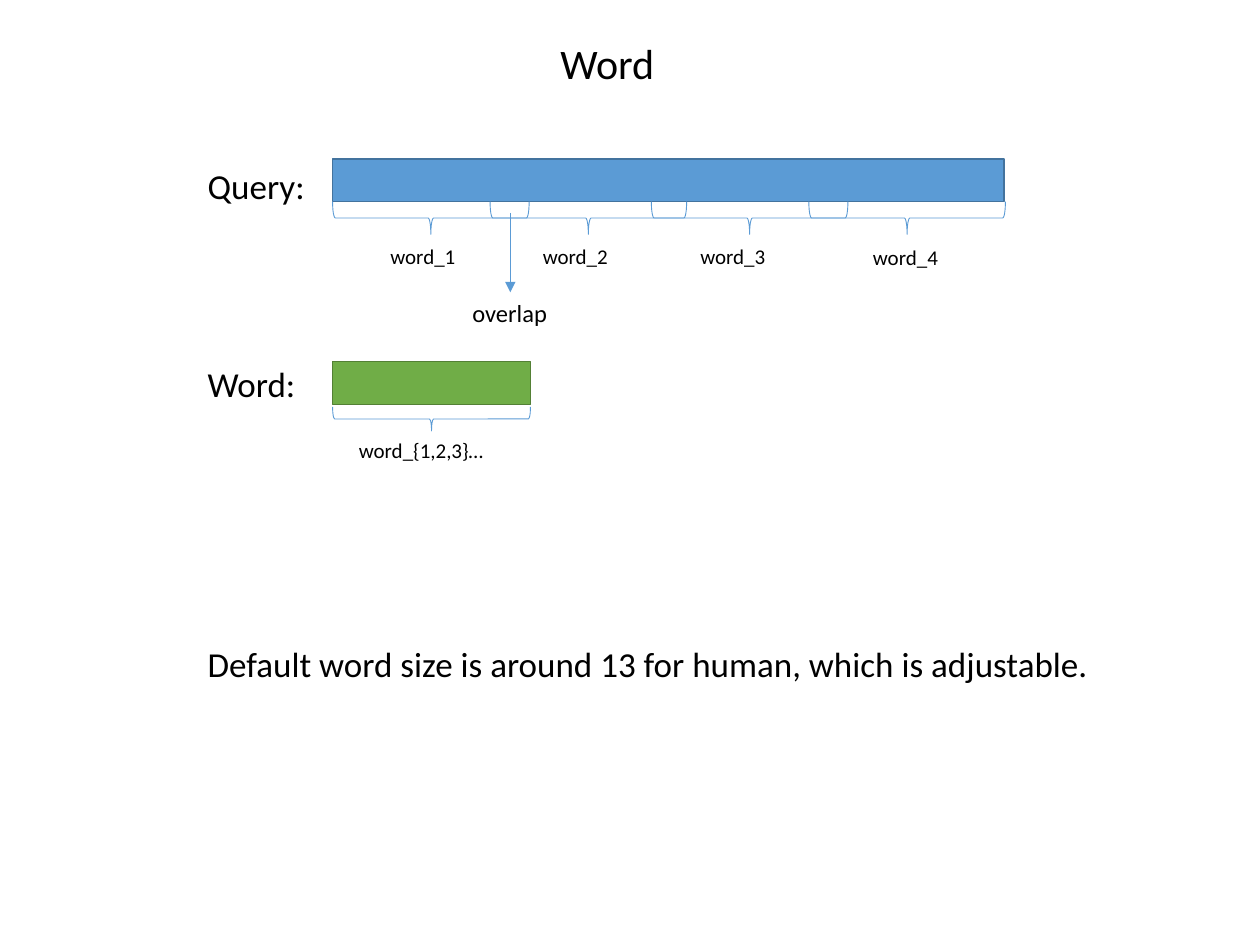
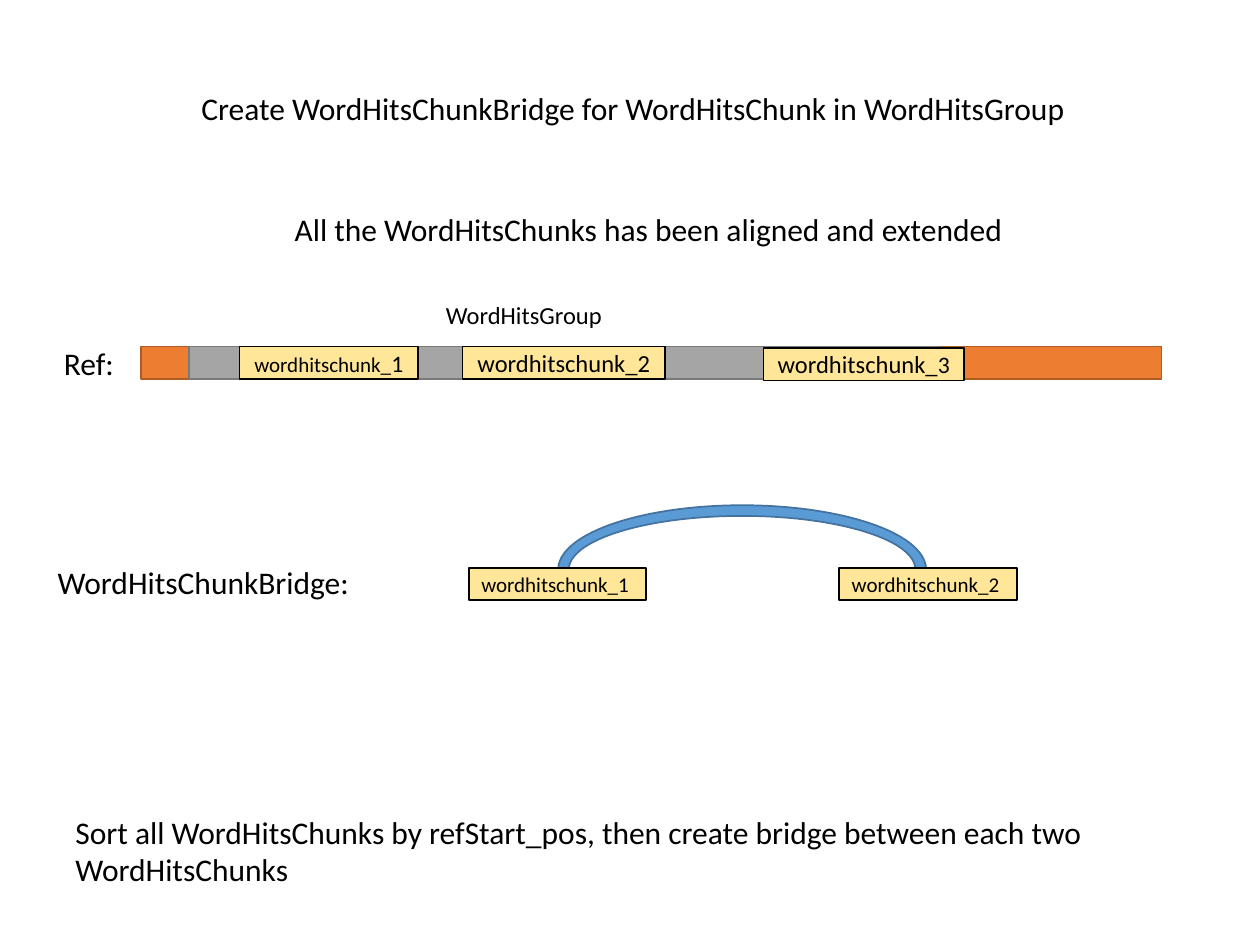
"""Build two slides on word splitting and chunk bridging."""
import pptx
import pptx.dml.color
import pptx.enum.shapes
import pptx.enum.text
import pptx.oxml
import pptx.oxml.ns
import pptx.util

Inches = pptx.util.Inches
Pt = pptx.util.Pt
SHAPE = pptx.enum.shapes.MSO_SHAPE

FONT = "Calibri"
COLORS = {
    "text": "000000",
    "blue": "5B9BD5", "blue_edge": "43739E",
    "green": "70AD47", "green_edge": "538035",
    "orange": "ED7D31", "orange_edge": "AF5C24",
    "gray": "A5A5A5", "gray_edge": "7A7A7A",
    "chunk": "FFE699", "chunk_edge": "000000",
}


def rgb(name):
    """Return the named colour."""
    return pptx.dml.color.RGBColor.from_string(COLORS[name])


def set_line(sp, color, width):
    """Set the outline colour and width."""
    sp.line.color.rgb = rgb(color)
    sp.line.width = Pt(width)


def style_run(r, size):
    """Apply the shared font to a run."""
    r.font.name = FONT
    r.font.size = Pt(size)
    r.font.color.rgb = rgb("text")


def add_label(s, text, left, top, width, height, size, wrap=False):
    """Add a text box that grows with its text."""
    box = s.shapes.add_textbox(Inches(left), Inches(top), Inches(width), Inches(height))
    tf = box.text_frame
    tf.text = text
    tf.word_wrap = wrap
    tf.auto_size = pptx.enum.text.MSO_AUTO_SIZE.SHAPE_TO_FIT_TEXT
    style_run(tf.paragraphs[0].runs[0], size)


def add_figure(s, kind, left, top, width, height, color):
    """Add a filled shape with the edge that belongs to its colour."""
    sp = s.shapes.add_shape(kind, Inches(left), Inches(top), Inches(width), Inches(height))
    sp.shadow.inherit = False
    sp.fill.solid()
    sp.fill.fore_color.rgb = rgb(color)
    set_line(sp, color + "_edge", 1)
    return sp


def add_bar(s, left, top, width, height, color):
    """Add a sequence bar."""
    return add_figure(s, SHAPE.RECTANGLE, left, top, width, height, color)


def add_chunk(s, parts, left, top, width, height):
    """Add a chunk box from (text, size) parts."""
    tf = add_bar(s, left, top, width, height, "chunk").text_frame
    tf.vertical_anchor = pptx.enum.text.MSO_ANCHOR.MIDDLE
    p = tf.paragraphs[0]
    p.alignment = pptx.enum.text.PP_ALIGN.CENTER
    for text, size in parts:
        r = p.add_run()
        r.text = text
        style_run(r, size)


def add_brace(s, left, top, span, depth):
    """Add a brace opening upwards over the given visible area."""
    sp = s.shapes.add_shape(
        SHAPE.LEFT_BRACE,
        Inches(left + (span - depth) / 2), Inches(top + (depth - span) / 2),
        Inches(depth), Inches(span))
    sp.rotation = 270
    sp.shadow.inherit = False
    sp.fill.background()
    set_line(sp, "blue", 0.5)


def add_down_arrow(s, x, top, bottom):
    """Add a thin vertical arrow."""
    line = s.shapes.add_connector(
        pptx.enum.shapes.MSO_CONNECTOR.STRAIGHT,
        Inches(x), Inches(top), Inches(x), Inches(bottom))
    set_line(line, "blue", 0.5)
    tail = pptx.oxml.parse_xml(
        '<a:tailEnd %s type="triangle"/>' % pptx.oxml.ns.nsdecls("a"))
    line.line._get_or_add_ln().append(tail)
    line._element.spPr.append(
        pptx.oxml.parse_xml("<a:effectLst %s/>" % pptx.oxml.ns.nsdecls("a")))


def build_word_slide(s):
    """Show how a query is cut into overlapping words."""
    bar_left, bar_height = 2.64, 0.34
    add_label(s, "Word", 4.35, 0.25, 0.96, 0.5, 24)

    add_label(s, "Query:", 1.55, 1.26, 0.98, 0.44, 20)
    add_bar(s, bar_left, 1.26, 5.33, bar_height, "blue")
    words = [(bar_left, 3, 1.88), (3.89, 4.21, 1.88), (5.17, 5.46, 1.88), (6.42, 6.83, 1.89)]
    for number, (brace_left, label_left, label_top) in enumerate(words, 1):
        add_brace(s, brace_left, 1.6, 1.56, 0.26)
        add_label(s, f"word_{number}", label_left, label_top, 0.72, 0.3, 12)
    add_down_arrow(s, 4.05, 1.69, 2.32)
    add_label(s, "overlap", 3.65, 2.32, 0.8, 0.34, 14)

    add_label(s, "Word:", 1.55, 2.83, 0.9, 0.44, 20)
    add_bar(s, bar_left, 2.87, 1.57, bar_height, "green")
    add_brace(s, bar_left, 3.23, 1.57, 0.19)
    add_label(s, "word_{1,2,3}…", 2.75, 3.42, 1.2, 0.3, 12)

    add_label(s, "Default word size is around 13 for human, which is adjustable.",
              1.55, 5.05, 7.74, 0.44, 20, wrap=True)


def build_bridge_slide(s):
    """Show the bridge between two neighbouring chunks."""
    ref_top, ref_height = 2.75, 0.26
    add_label(s, "Create WordHitsChunkBridge for WordHitsChunk in WordHitsGroup",
              1.5, 0.66, 7.13, 0.4, 18)
    add_label(s, "All the WordHitsChunks has been aligned and extended",
              2.24, 1.62, 5.89, 0.4, 18)

    add_label(s, "Ref:", 0.41, 2.68, 0.6, 0.4, 18)
    add_label(s, "WordHitsGroup", 3.44, 2.33, 1.45, 0.34, 14)
    add_bar(s, 1.12, ref_top, 8.1, ref_height, "orange")
    add_bar(s, 1.5, ref_top, 5.96, ref_height, "gray")
    chunks = [
        ([("wordhitschunk_", 12), ("1", 13.5)], 1.9, ref_top, 1.42),
        ([("wordhitschunk_2", 14)], 3.67, ref_top, 1.61),
        ([("wordhitschunk_", 14), ("3", 13.5)], 6.06, 2.76, 1.59),
    ]
    for parts, left, top, width in chunks:
        add_chunk(s, parts, left, top, width, ref_height)

    add_label(s, "WordHitsChunkBridge:", 0.36, 4.42, 2.54, 0.4, 18)
    arc = add_figure(s, SHAPE.BLOCK_ARC, 4.43, 4.01, 2.92, 1.02, "blue")
    for i, value in enumerate((108, 0, 0.083)):
        arc.adjustments[i] = value
    for number, left in enumerate((3.72, 6.66), 1):
        add_chunk(s, [(f"wordhitschunk_{number} ", 12)], left, 4.51, 1.41, 0.25)

    add_label(s, "Sort all WordHitsChunks by refStart_pos, then create bridge "
              "between each two WordHitsChunks", 0.5, 6.4, 9.5, 0.71, 18, wrap=True)


def main():
    """Build and save the presentation."""
    prs = pptx.Presentation()
    prs.slide_width = Inches(10)
    prs.slide_height = Inches(7.5)
    for build in (build_word_slide, build_bridge_slide):
        build(prs.slides.add_slide(prs.slide_layouts[6]))
    prs.save("out.pptx")


main()
